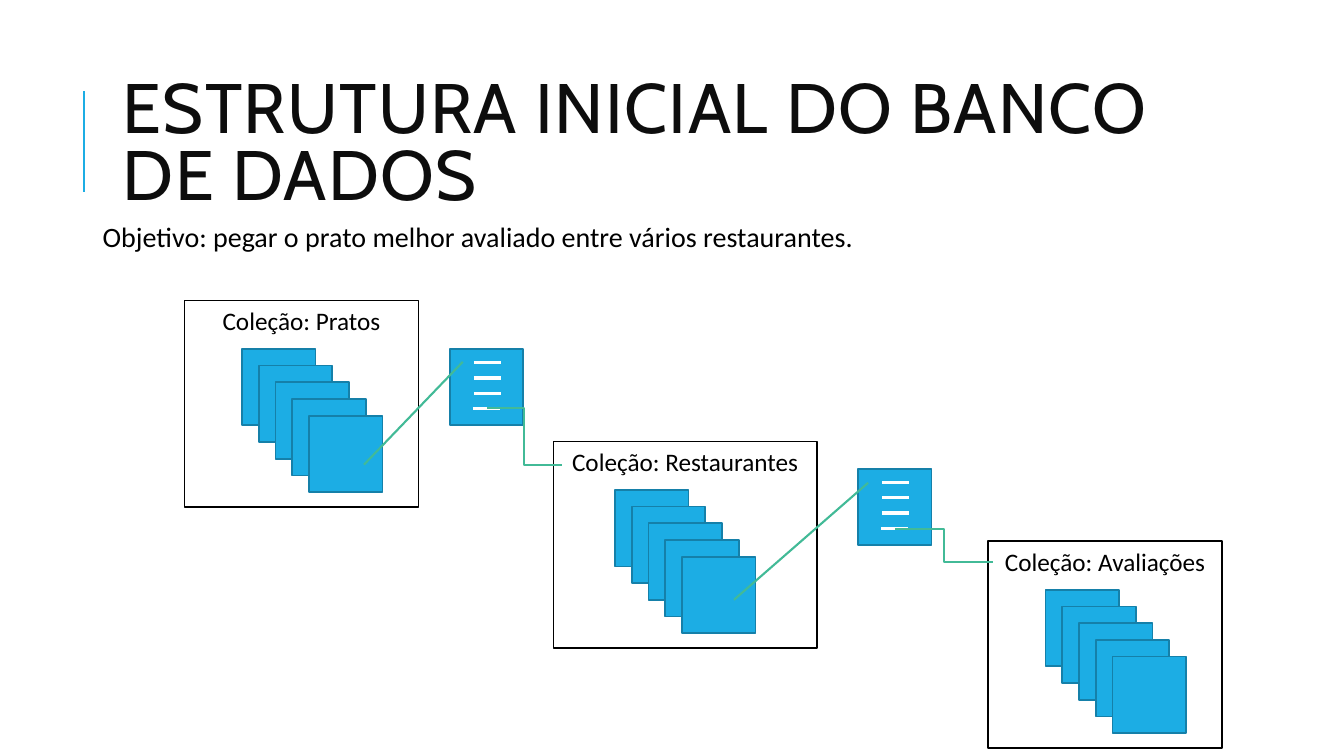
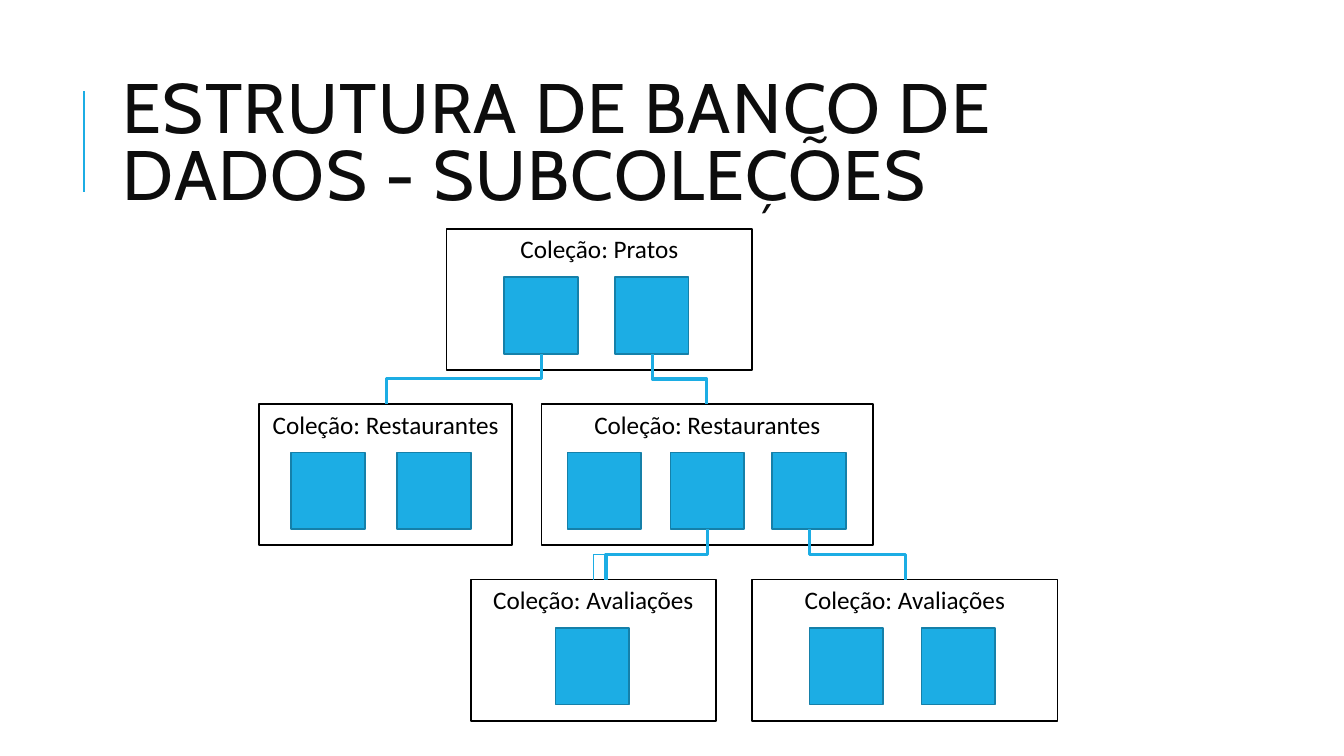
import pptx
import pptx.util
import pptx.dml.color
import pptx.enum.shapes
import pptx.enum.text
import pptx.oxml.ns
import lxml.etree

Inches = pptx.util.Inches
Pt = pptx.util.Pt
CONN = pptx.enum.shapes.MSO_CONNECTOR
ANCHOR = pptx.enum.text.MSO_ANCHOR
ALIGN = pptx.enum.text.PP_ALIGN

BLACK, WHITE, TITLE = "000000", "FFFFFF", "0D0D0D"
BLUE, EDGE, GREEN = "1CADE4", "1580A9", "42BA97"
SQUARE = (0.73, 0.76)
SQUARE_DROP = 0.48

STACK_TITLE = "ESTRUTURA INICIAL DO BANCO DE DADOS"
GOAL = "Objetivo: pegar o prato melhor avaliado entre vários restaurantes."
STACK_HEIGHT, STACK_SIZE, STACK_STEP = 2.05, 5, 0.166
STACKS = [
    ("Coleção: Avaliações", 9.8, 5.37, 2.32, 0.57),
    ("Coleção: Pratos", 1.83, 2.98, 2.32, 0.57),
    ("Coleção: Restaurantes", 5.49, 4.38, 2.61, 0.61),
]
DOCUMENTS = [(4.46, 3.46), (8.51, 4.65)]
FIELD_LEFT, FIELD_TOP, FIELD_WIDTH, FIELD_STEP = 0.24, 0.14, 0.27, 0.15
FIELD_INDENTS = [0, 0, 0, -0.01]
REFERENCES = [
    (CONN.ELBOW, 4.83, 4.05, 5.57, 4.61),
    (CONN.ELBOW, 8.88, 5.25, 9.85, 5.58),
    (CONN.STRAIGHT, 3.61, 4.61, 4.59, 3.59),
    (CONN.STRAIGHT, 7.28, 5.95, 8.61, 4.79),
]

TREE_TITLE = "ESTRUTURA DE BANCO DE DADOS - SUBCOLEÇÕES"
TREE_TOP, TREE_STEP, TREE_HEIGHT = 2.27, 1.74, 1.4
TREE = [
    ("Coleção: Pratos", 0, 4.43, 3.03, [5, 6.1]),
    ("Coleção: Restaurantes", 1, 5.37, 3.29, [5.63, 6.65, 7.66]),
    ("Coleção: Avaliações", 2, 7.46, 3.03, [8.03, 9.14]),
    ("Coleção: Restaurantes", 1, 2.57, 2.51, [2.89, 3.94]),
    ("Coleção: Avaliações", 2, 4.67, 2.43, [5.51]),
]
BRANCHES = [
    (0.75, [(0, 6.47, 7.01), (1, 8.03, 8.98), (1, 7.02, 5.89), (0, 5.37, 3.83)]),
    (2.25, [(0, 6.47, 7.01), (1, 8.03, 8.98), (1, 7.02, 6.01), (0, 5.37, 3.83)]),
]


def color(value):
    return pptx.dml.color.RGBColor.from_string(value)


def set_text(tf, text, font, size, ink):
    tf.word_wrap = True
    p = tf.paragraphs[0]
    p.text = text
    p.font.name, p.font.size = font, Pt(size)
    p.font.color.rgb = color(ink)
    return p


def add_box(shapes, x, y, w, h, line, fill=None):
    sp = shapes.add_shape(pptx.enum.shapes.MSO_SHAPE.RECTANGLE,
                          Inches(x), Inches(y), Inches(w), Inches(h))
    sp.shadow.inherit = False
    if fill:
        sp.fill.solid()
        sp.fill.fore_color.rgb = color(fill)
    else:
        sp.fill.background()
    sp.line.color.rgb = color(line)
    sp.line.width = Pt(1.25)
    return sp


def add_square(shapes, x, y):
    return add_box(shapes, x, y, *SQUARE, EDGE, BLUE)


def add_collection(shapes, name, x, y, w, h, squares):
    sp = add_box(shapes, x, y, w, h, BLACK)
    sp.text_frame.vertical_anchor = ANCHOR.TOP
    set_text(sp.text_frame, name, "Calibri", 18, BLACK).alignment = ALIGN.CENTER
    for left, top in squares:
        add_square(shapes, left, top)


def add_line(shapes, kind, x1, y1, x2, y2, ink, width):
    cx = shapes.add_connector(kind, Inches(x1), Inches(y1), Inches(x2), Inches(y2))
    cx.line.color.rgb = color(ink)
    cx.line.width = Pt(width)
    lxml.etree.SubElement(cx._element.spPr, pptx.oxml.ns.qn("a:effectLst"))
    return cx


def add_branch(shapes, x1, y1, x2, y2, ink, width):
    mid_x, mid_y = (x1 + x2) / 2, (y1 + y2) / 2
    half_w, half_h = (y2 - y1) / 2, abs(x2 - x1) / 2
    cx = add_line(shapes, CONN.ELBOW, mid_x - half_w, mid_y - half_h,
                  mid_x + half_w, mid_y + half_h, ink, width)
    xfrm = cx._element.spPr.find(pptx.oxml.ns.qn("a:xfrm"))
    xfrm.set("rot", str((270 if x2 > x1 else 90) * 60000))
    if x2 > x1:
        xfrm.set("flipH", "1")


def add_slide(title):
    s = prs.slides.add_slide(prs.slide_layouts[6])
    add_line(s.shapes, CONN.STRAIGHT, 0.83, 1.9, 0.83, 0.9, BLUE, 1.5)
    tf = s.shapes.add_textbox(Inches(1.12), Inches(0.64), Inches(10.63), Inches(1.64)).text_frame
    tf.vertical_anchor = ANCHOR.MIDDLE
    p = set_text(tf, title, "Cabin", 50, TITLE)
    p.line_spacing = 0.8
    p.runs[0].font._element.set("spc", "100")
    return s


prs = pptx.Presentation()
prs.slide_width, prs.slide_height = Inches(13.33), Inches(7.5)

s = add_slide(STACK_TITLE)
tf = s.shapes.add_textbox(Inches(0.92), Inches(1.79), Inches(9.22), Inches(1.08)).text_frame
tf.margin_top = Inches(0.39)
set_text(tf, GOAL, "Calibri", 20, BLACK)
for name, x, y, w, inset in STACKS:
    squares = [(x + inset + i * STACK_STEP, y + SQUARE_DROP + i * STACK_STEP)
               for i in range(STACK_SIZE)]
    group = s.shapes.add_group_shape()
    add_collection(group.shapes, name, x, y, w, STACK_HEIGHT, squares)
for x, y in DOCUMENTS:
    group = s.shapes.add_group_shape()
    add_square(group.shapes, x, y)
    for i, indent in enumerate(FIELD_INDENTS):
        left, top = x + FIELD_LEFT + indent, y + FIELD_TOP + i * FIELD_STEP
        add_line(group.shapes, CONN.STRAIGHT, left, top, left + FIELD_WIDTH, top, WHITE, 2.25)
for kind, *ends in REFERENCES:
    add_line(s.shapes, kind, *ends, GREEN, 1.5)

s = add_slide(TREE_TITLE)
for name, level, x, w, lefts in TREE:
    y = TREE_TOP + level * TREE_STEP
    squares = [(left, y + SQUARE_DROP) for left in lefts]
    add_collection(s.shapes, name, x, y, w, TREE_HEIGHT, squares)
for width, links in BRANCHES:
    for level, x1, x2 in links:
        y = TREE_TOP + level * TREE_STEP
        add_branch(s.shapes, x1, y + SQUARE_DROP + SQUARE[1], x2, y + TREE_STEP, BLUE, width)

prs.save("out.pptx")
